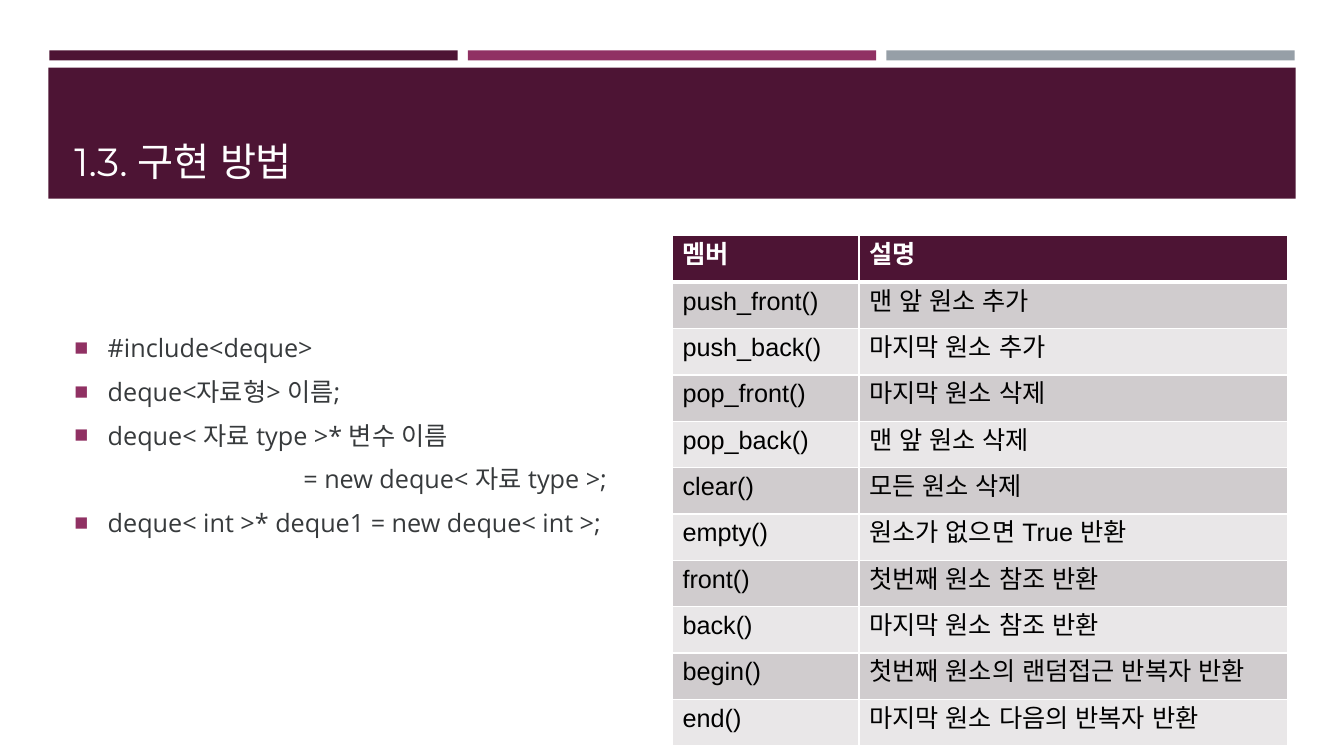
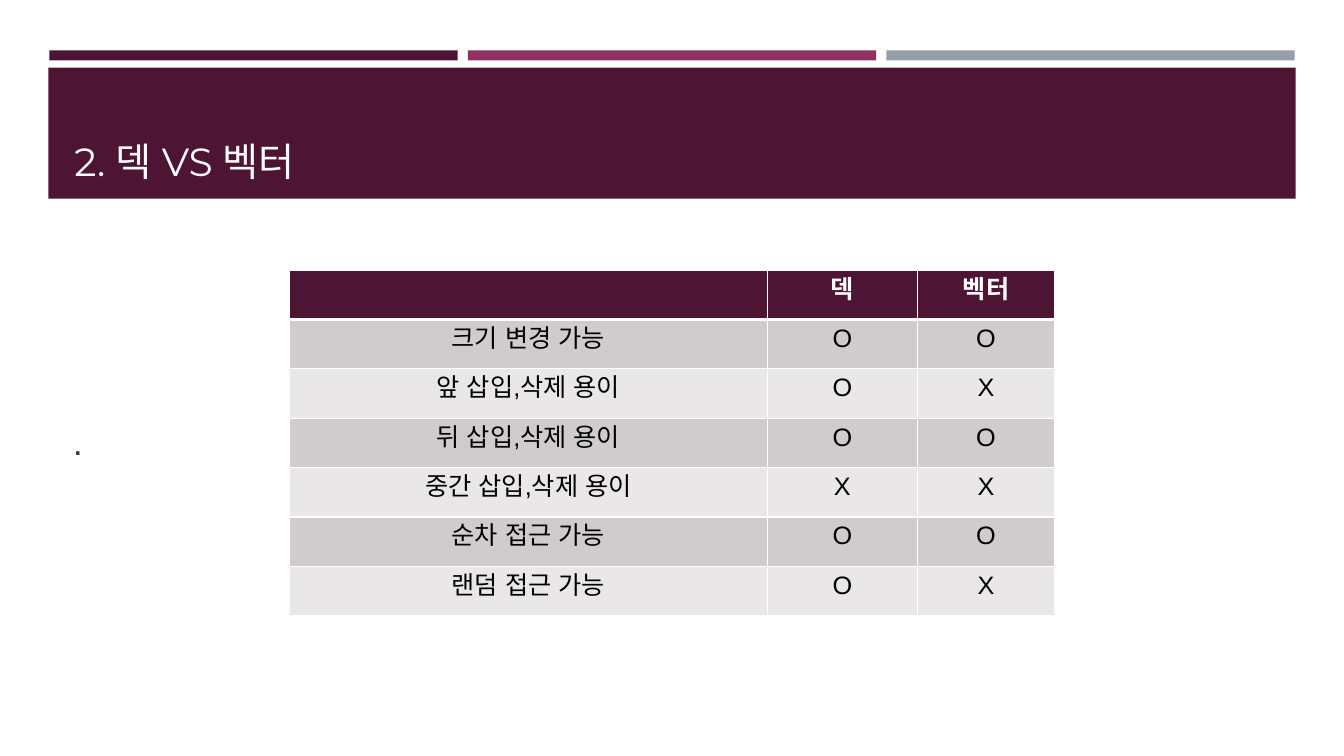
from pptx import Presentation
from pptx import util as u
from pptx.dml.color import RGBColor
from pptx.enum import shapes, text
from pptx.oxml import ns
from lxml import etree

PLUM = RGBColor(0x4D, 0x14, 0x34)
ROSE = RGBColor(0x90, 0x31, 0x63)
STEEL = RGBColor(0x96, 0x9F, 0xA7)
WHITE = RGBColor(0xFF, 0xFF, 0xFF)
BLACK = RGBColor(0, 0, 0)
INK = RGBColor(0x37, 0x3A, 0x3C)
DOT = RGBColor(0x3D, 0x3D, 0x3D)
ROWS = [RGBColor(0xD0, 0xCC, 0xCE), RGBColor(0xE9, 0xE7, 0xE8)]
HEAD, BODY, CELL = "Montserrat", "Open Sans", "Arial"
MID, LOW = text.MSO_ANCHOR.MIDDLE, text.MSO_ANCHOR.BOTTOM
LEFT, CENTER = text.PP_ALIGN.LEFT, text.PP_ALIGN.CENTER


def node(parent, tag, **attrs):
    return etree.SubElement(parent, ns.qn(tag), attrs)


class Deck:
    def __init__(self):
        self.prs = Presentation()
        self.prs.slide_width = u.Inches(13.33)
        self.prs.slide_height = u.Inches(7.5)
        self.slide = None

    def page(self, title):
        """Start a slide with the shared bands and title."""
        self.slide = self.prs.slides.add_slide(self.prs.slide_layouts[6])
        for i, color in enumerate([PLUM, ROSE, STEEL]):
            self.rect(0.49 + 4.15 * i, 0.5, 4.05, 0.1, color)
        self.rect(0.48, 0.67, 12.37, 1.3, PLUM)
        self.box(0.64, 0.77, 12.06, 1.11, [title], LOW, HEAD, 28, WHITE)

    def rect(self, x, y, w, h, color):
        bar = self.slide.shapes.add_shape(
            shapes.MSO_SHAPE.RECTANGLE,
            u.Inches(x), u.Inches(y), u.Inches(w), u.Inches(h))
        bar.shadow.inherit = False
        bar.fill.solid()
        bar.fill.fore_color.rgb = color
        bar.line.fill.background()

    def style(self, para, face, size, color, bold=False):
        for run in para.runs:
            run.font.name = face
            run.font.size = u.Pt(size)
            run.font.color.rgb = color
            run.font.bold = bold
            # Korean text takes its spaces from the same face
            node(run.font._element, "a:ea", typeface=face)

    def box(self, x, y, w, h, lines, anchor, face, size, color, bold=False):
        frame = self.slide.shapes.add_textbox(
            u.Inches(x), u.Inches(y), u.Inches(w), u.Inches(h)).text_frame
        frame.word_wrap = True
        frame.vertical_anchor = anchor
        frame.text = "\n".join(lines)
        for para in frame.paragraphs:
            self.style(para, face, size, color, bold)
        return frame

    def space(self, para):
        para.space_before = u.Pt(3.6)
        para.space_after = u.Pt(6)

    def indent(self, para, left, first=0):
        props = para._p.get_or_add_pPr()
        props.set("marL", str(u.Inches(left)))
        props.set("indent", str(u.Inches(first)))
        return props

    def bullet(self, para):
        props = self.indent(para, 0.33, -0.33)
        node(node(props, "a:buClr"), "a:srgbClr", val=str(ROSE))
        node(props, "a:buSzPct", val="92000")
        node(props, "a:buFont", typeface=CELL)
        node(props, "a:buChar", char="■")

    def edges(self, cell, top, bottom):
        props = cell._tc.get_or_add_tcPr()
        for side, width in zip("LRTB", [1, 1, top, bottom]):
            line = node(props, "a:ln" + side, w=str(u.Pt(width)))
            node(node(line, "a:solidFill"), "a:srgbClr", val=str(WHITE))

    def table(self, x, y, cols, height, data, align):
        grid = self.slide.shapes.add_table(
            len(data), len(cols), u.Inches(x), u.Inches(y),
            u.Inches(sum(cols)), u.Inches(height * len(data))).table
        for col, width in zip(grid.columns, cols):
            col.width = u.Inches(width)
        for r, row in enumerate(data):
            top = r == 0
            grid.rows[r].height = u.Inches(height)
            for c, words in enumerate(row):
                cell = grid.cell(r, c)
                self.edges(cell, 3 if r == 1 else 1, 3 if top else 1)
                cell.fill.solid()
                cell.fill.fore_color.rgb = PLUM if top else ROWS[(r - 1) % 2]
                cell.text_frame.text = words
                para = cell.text_frame.paragraphs[0]
                para.alignment = align
                self.style(para, CELL, 18, WHITE if top else BLACK, top)


deck = Deck()

# Slide 1: declarations and member table
deck.page("1.3. 구현 방법")
code = [
    "#include<deque>",
    "deque<자료형> 이름;",
    "deque< 자료 type >* 변수 이름",
    "= new deque< 자료 type >;",
    "deque< int >* deque1 = new deque< int >;",
]
frame = deck.box(0.64, 2.52, 5.85, 4.02, code, MID, BODY, 18, INK)
frame.margin_bottom = u.Inches(0.48)
for para in frame.paragraphs:
    deck.space(para)
    if para.text.startswith("="):
        deck.indent(para, 2.27)
    else:
        deck.bullet(para)

deck.table(6.67, 2.34, [1.85, 4.25], 0.46, [
    ("멤버", "설명"),
    ("push_front()", "맨 앞 원소 추가"),
    ("push_back()", "마지막 원소 추가"),
    ("pop_front()", "마지막 원소 삭제"),
    ("pop_back()", "맨 앞 원소 삭제"),
    ("clear()", "모든 원소 삭제"),
    ("empty()", "원소가 없으면 True 반환"),
    ("front()", "첫번째 원소 참조 반환"),
    ("back()", "마지막 원소 참조 반환"),
    ("begin()", "첫번째 원소의 랜덤접근 반복자 반환"),
    ("end()", "마지막 원소 다음의 반복자 반환"),
], LEFT)

# Slide 2: comparison table
deck.page("2. 덱 VS 벡터")
frame = deck.box(0.64, 2.38, 12.06, 4.02, ["."], MID, CELL, 18, DOT, True)
frame.paragraphs[0].line_spacing = 1.2
deck.space(frame.paragraphs[0])

deck.table(2.87, 2.68, [4.74, 1.49, 1.36], 0.49, [
    ("", "덱", "벡터"),
    ("크기 변경 가능", "O", "O"),
    ("앞 삽입,삭제 용이", "O", "X"),
    ("뒤 삽입,삭제 용이", "O", "O"),
    ("중간 삽입,삭제 용이", "X", "X"),
    ("순차 접근 가능", "O", "O"),
    ("랜덤 접근 가능", "O", "X"),
], CENTER)

deck.prs.save("out.pptx")
